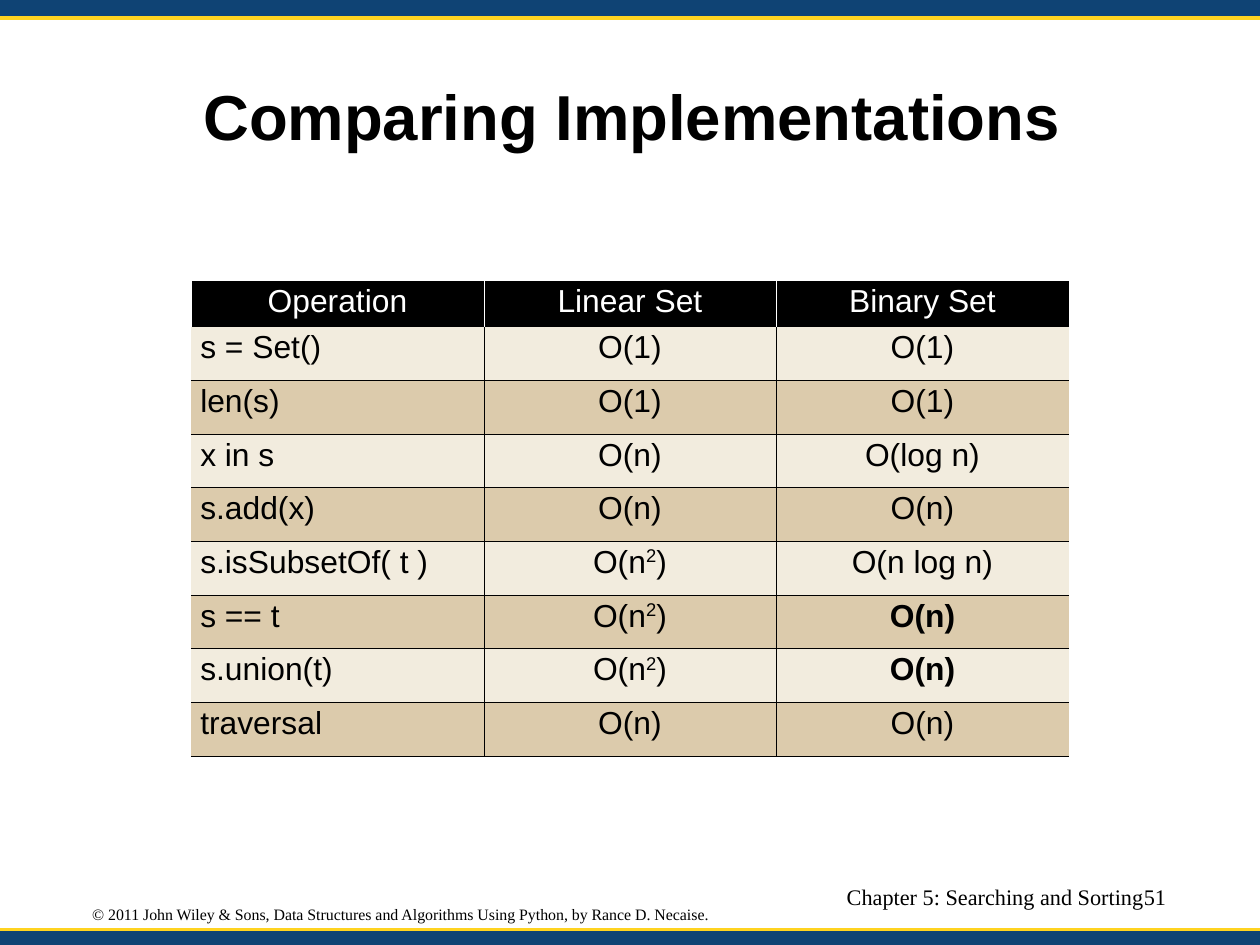
from lxml.etree import SubElement
from pptx import Presentation
from pptx.dml.color import RGBColor
from pptx.enum.shapes import MSO_CONNECTOR, MSO_SHAPE
from pptx.enum.text import MSO_ANCHOR, MSO_AUTO_SIZE, PP_ALIGN
from pptx.oxml.ns import qn
from pptx.util import Cm, Pt

COLORS = {
    "navy": "0F4374",
    "gold": "FFD320",
    "black": "000000",
    "white": "FFFFFF",
    "cream": "F2ECDE",
    "tan": "DCCBAC",
}
SLIDE_WIDTH, SLIDE_HEIGHT = 28, 21
NO_STYLE = "{2D5ABB26-0587-4C30-8999-92F81FD0307C}"
OPERATIONS = [
    ("Operation", "Linear Set", "Binary Set"),
    ("s = Set()", "O(1)", "O(1)"),
    ("len(s)", "O(1)", "O(1)"),
    ("x in s", "O(n)", "O(log n)"),
    ("s.add(x)", "O(n)", "O(n)"),
    ("s.isSubsetOf( t )", "O(n²)", "O(n log n)"),
    ("s == t", "O(n²)", "O(n)"),
    ("s.union(t)", "O(n²)", "O(n)"),
    ("traversal", "O(n)", "O(n)"),
]
FASTER = {(6, 2), (7, 2)}


def rgb(name):
    return RGBColor.from_string(COLORS[name])


def write(frame, text, *, size, font="Arial", color="black", bold=False,
          align=PP_ALIGN.LEFT):
    paragraph = frame.paragraphs[0]
    paragraph.alignment = align
    paragraph.line_spacing = 0.93
    base, square, rest = text.partition("²")
    for part, raised in ((base, False), ("2" if square else "", True), (rest, False)):
        if not part:
            continue
        run = paragraph.add_run()
        run.text = part
        run.font.size = Pt(size)
        run.font.name = font
        run.font.bold = bold
        run.font.color.rgb = rgb(color)
        if raised:
            run._r.get_or_add_rPr().set("baseline", "33000")


def set_frame(frame, anchor, wrap=True, top=0):
    frame.auto_size = MSO_AUTO_SIZE.NONE
    frame.word_wrap = wrap
    frame.vertical_anchor = anchor
    frame.margin_left = frame.margin_right = frame.margin_bottom = 0
    frame.margin_top = Cm(top)


def add_band(slide, left, top, width, height, edge):
    band = slide.shapes.add_shape(
        MSO_SHAPE.RECTANGLE, Cm(left), Cm(top), Cm(width), Cm(height))
    band.shadow.inherit = False
    band.fill.solid()
    band.fill.fore_color.rgb = rgb("navy")
    band.line.fill.background()
    stripe = slide.shapes.add_connector(
        MSO_CONNECTOR.STRAIGHT, Cm(left), Cm(edge), Cm(left + width), Cm(edge))
    stripe.line.color.rgb = rgb("gold")
    stripe.line.width = Pt(2)
    SubElement(stripe._element.spPr, qn("a:effectLst"))


def add_title(slide, left, top, width, height):
    title = slide.shapes.title
    title.left, title.top = Cm(left), Cm(top)
    title.width, title.height = Cm(width), Cm(height)
    set_frame(title.text_frame, MSO_ANCHOR.MIDDLE, top=0.1)
    write(title.text_frame, "Comparing Implementations", size=40, bold=True,
          align=PP_ALIGN.CENTER)


def set_borders(cell, visible, color, points):
    properties = cell._tc.get_or_add_tcPr()
    for side in "LRTB":
        border = SubElement(properties, qn(f"a:ln{side}"), w=str(Pt(points)))
        if side in visible:
            fill = SubElement(border, qn("a:solidFill"))
            SubElement(fill, qn("a:srgbClr"), val=COLORS[color])
        else:
            SubElement(border, qn("a:noFill"))


def format_cell(cell, text, row, column, last_column):
    header = row == 0
    if header:
        set_borders(cell, "LRT", "white", 0.06)
        fill = "black"
    else:
        visible = "B" + "T" * (row > 1) + "L" * (column > 0) + "R" * (column < last_column)
        set_borders(cell, visible, "black", 0.28)
        fill = "cream" if row % 2 else "tan"
    cell.fill.solid()
    cell.fill.fore_color.rgb = rgb(fill)
    cell.margin_left = cell.margin_right = Cm(0.25 if header else 0.2)
    cell.margin_top = cell.margin_bottom = Cm(0.13)
    write(cell.text_frame, text, size=20, color="white" if header else "black",
          bold=(row, column) in FASTER,
          align=PP_ALIGN.CENTER if header or column else PP_ALIGN.LEFT)


def add_operations(slide, left, top, width, height, header_height):
    row_count, column_count = len(OPERATIONS), len(OPERATIONS[0])
    table = slide.shapes.add_table(
        row_count, column_count, Cm(left), Cm(top), Cm(width), Cm(height)).table
    table._tbl.tblPr.find(qn("a:tableStyleId")).text = NO_STYLE
    table.horz_banding = False
    for column in table.columns:
        column.width = Cm(width / column_count)
    for row, texts in enumerate(OPERATIONS):
        table.rows[row].height = Cm(
            (height - header_height) / (row_count - 1) if row else header_height)
        for column, text in enumerate(texts):
            format_cell(table.cell(row, column), text, row, column, column_count - 1)


def add_label(slide, text, left, top, width, height, *, size,
              anchor=MSO_ANCHOR.TOP, wrap=True, align=PP_ALIGN.LEFT):
    label = slide.shapes.add_textbox(Cm(left), Cm(top), Cm(width), Cm(height))
    set_frame(label.text_frame, anchor, wrap)
    write(label.text_frame, text, size=size, font="Times New Roman", align=align)


def add_footer(slide, left, top, width, height):
    number_width, chapter_width = 1.18, 8.87
    number_left = left + width - number_width
    add_label(slide,
              "© 2011 John Wiley & Sons, Data Structures and Algorithms Using Python, "
              "by Rance D. Necaise.",
              left, top + 0.46, 13.84, 0.39, size=10,
              anchor=MSO_ANCHOR.MIDDLE, wrap=False)
    add_label(slide, "Chapter 5: Searching and Sorting",
              number_left - chapter_width, top, chapter_width, height,
              size=14, align=PP_ALIGN.RIGHT)
    add_label(slide, "51", number_left, top, number_width, height, size=14)


def main():
    presentation = Presentation()
    presentation.slide_width = Cm(SLIDE_WIDTH)
    presentation.slide_height = Cm(SLIDE_HEIGHT)
    slide = presentation.slides.add_slide(presentation.slide_layouts[5])
    add_band(slide, 0, 0, SLIDE_WIDTH, 0.4, edge=0.4)
    add_band(slide, 0, 20.65, SLIDE_WIDTH, 0.35, edge=20.65)
    add_title(slide, 1.4, 0.84, 25.27, 3.5)
    add_operations(slide, 4.25, 6.23, 19.5, 10.57, header_height=1.03)
    add_footer(slide, 2.05, 19.68, 24.55, 0.9)
    presentation.save("out.pptx")


if __name__ == "__main__":
    main()
